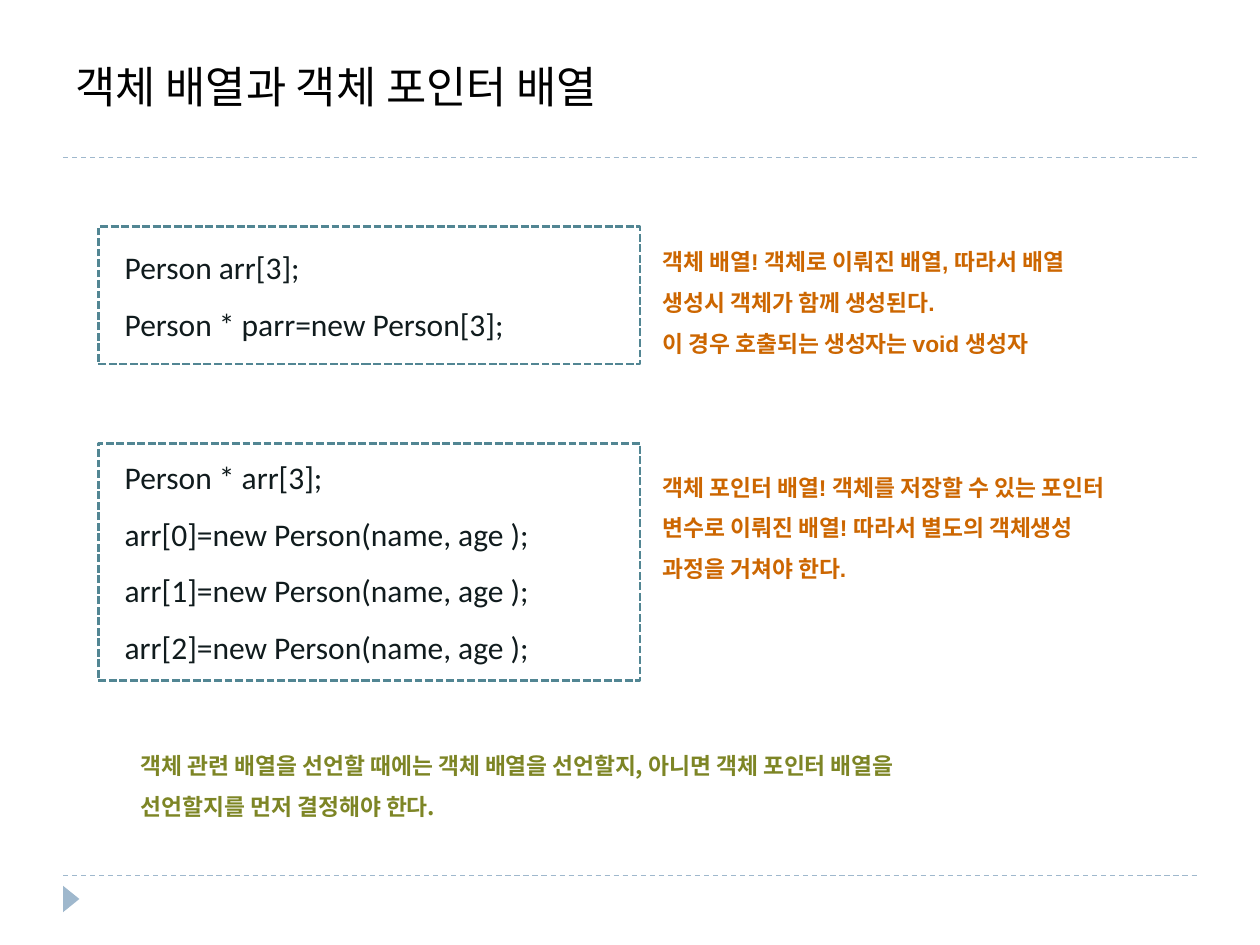
from lxml.etree import SubElement
from pptx import Presentation
from pptx.dml.color import RGBColor
from pptx.enum.dml import MSO_LINE as Dash
from pptx.enum.shapes import MSO_CONNECTOR as Connector, MSO_SHAPE as Shape
from pptx.enum.text import MSO_ANCHOR as Anchor, MSO_AUTO_SIZE as AutoSize, PP_ALIGN as Align
from pptx.oxml.ns import qn
from pptx.util import Inches, Pt

COLORS = {
    "title": "000000",
    "rule": "9FB8CD",
    "frame": "528693",
    "code": "101B1D",
    "note": "CC6600",
    "summary": "7D8525",
}
KOREAN = "Noto Sans CJK KR"


class SlideBuilder:
    def __init__(self, slide):
        self.slide = slide

    def color(self, name):
        return RGBColor.from_string(COLORS[name])

    def fill_text(self, frame, lines, size, face, color, bold=False, first=1.5, rest=1.5):
        frame.word_wrap = True
        frame.text = "\n".join(lines)
        for index, paragraph in enumerate(frame.paragraphs):
            paragraph.alignment = Align.LEFT
            paragraph.line_spacing = rest if index else first
            font = paragraph.font
            font.size, font.name, font.bold = Pt(size), face, bold
            font.color.rgb = self.color(color)
            defaults = paragraph._p.pPr.find(qn("a:defRPr"))
            SubElement(defaults, qn("a:ea")).set("typeface", KOREAN)

    def title(self, text, left, top, width, height):
        title = self.slide.shapes.title
        title.left, title.top = Inches(left), Inches(top)
        title.width, title.height = Inches(width), Inches(height)
        frame = title.text_frame
        frame.auto_size = AutoSize.NONE
        frame.vertical_anchor = Anchor.BOTTOM
        self.fill_text(frame, [text], 25, "Arial", "title", first=1.0)

    def rule(self, y):
        rule = self.slide.shapes.add_connector(
            Connector.STRAIGHT, Inches(0.5), Inches(y), Inches(9.5), Inches(y))
        rule.line.color.rgb = self.color("rule")
        rule.line.width = Pt(0.75)
        rule.line.dash_style = Dash.DASH
        SubElement(rule._element.spPr, qn("a:effectLst"))

    def marker(self, left, top, width, height):
        marker = self.slide.shapes.add_shape(
            Shape.ISOSCELES_TRIANGLE, Inches(left), Inches(top), Inches(width), Inches(height))
        marker.rotation = 90
        marker.shadow.inherit = False
        marker.fill.solid()
        marker.fill.fore_color.rgb = self.color("rule")
        marker.line.fill.background()

    def code(self, lines, top, height):
        box = self.slide.shapes.add_shape(
            Shape.RECTANGLE, Inches(0.78), Inches(top), Inches(4.3), Inches(height))
        box.shadow.inherit = False
        box.fill.background()
        box.line.color.rgb = self.color("frame")
        box.line.width = Pt(1.5)
        box.line.dash_style = Dash.SQUARE_DOT
        frame = box.text_frame
        frame.margin_left = Inches(0.21)
        frame.vertical_anchor = Anchor.MIDDLE
        self.fill_text(frame, lines, 18, "Calibri", "code", first=1.0)

    def note(self, lines, left, top, width, height, face="Arial", color="note",
             anchor=Anchor.MIDDLE):
        box = self.slide.shapes.add_textbox(
            Inches(left), Inches(top), Inches(width), Inches(height))
        box.text_frame.vertical_anchor = anchor
        self.fill_text(box.text_frame, lines, 13, face, color, bold=True)


def main():
    deck = Presentation()
    deck.slide_width, deck.slide_height = Inches(10), Inches(7.5)
    builder = SlideBuilder(deck.slides.add_slide(deck.slide_layouts[5]))

    for y in (6.95, 1.25):
        builder.rule(y)
    builder.marker(0.46, 7.07, 0.21, 0.13)
    builder.title("객체 배열과 객체 포인터 배열", 0.5, 0.17, 9, 0.77)

    builder.code(["Person arr[3];", "Person * parr=new Person[3];"], 1.8, 1.09)
    pointers = [f"arr[{i}]=new Person(name, age );" for i in range(3)]
    builder.code(["Person * arr[3];", *pointers], 3.52, 1.88)

    builder.note(
        ["객체 배열! 객체로 이뤄진 배열, 따라서 배열 생성시 객체가 함께 생성된다.",
         "이 경우 호출되는 생성자는 void 생성자"],
        5.16, 1.8, 3.91, 1.09)
    builder.note(
        ["객체 포인터 배열! 객체를 저장할 수 있는 포인터 변수로 이뤄진 배열! "
         "따라서 별도의 객체생성 과정을 거쳐야 한다."],
        5.16, 3.59, 3.91, 1.09)
    builder.note(
        ["객체 관련 배열을 선언할 때에는 객체 배열을 선언할지, "
         "아니면 객체 포인터 배열을 선언할지를 먼저 결정해야 한다."],
        1.02, 5.81, 6.8, 0.76, KOREAN, "summary", Anchor.TOP)

    deck.save("out.pptx")


if __name__ == "__main__":
    main()
